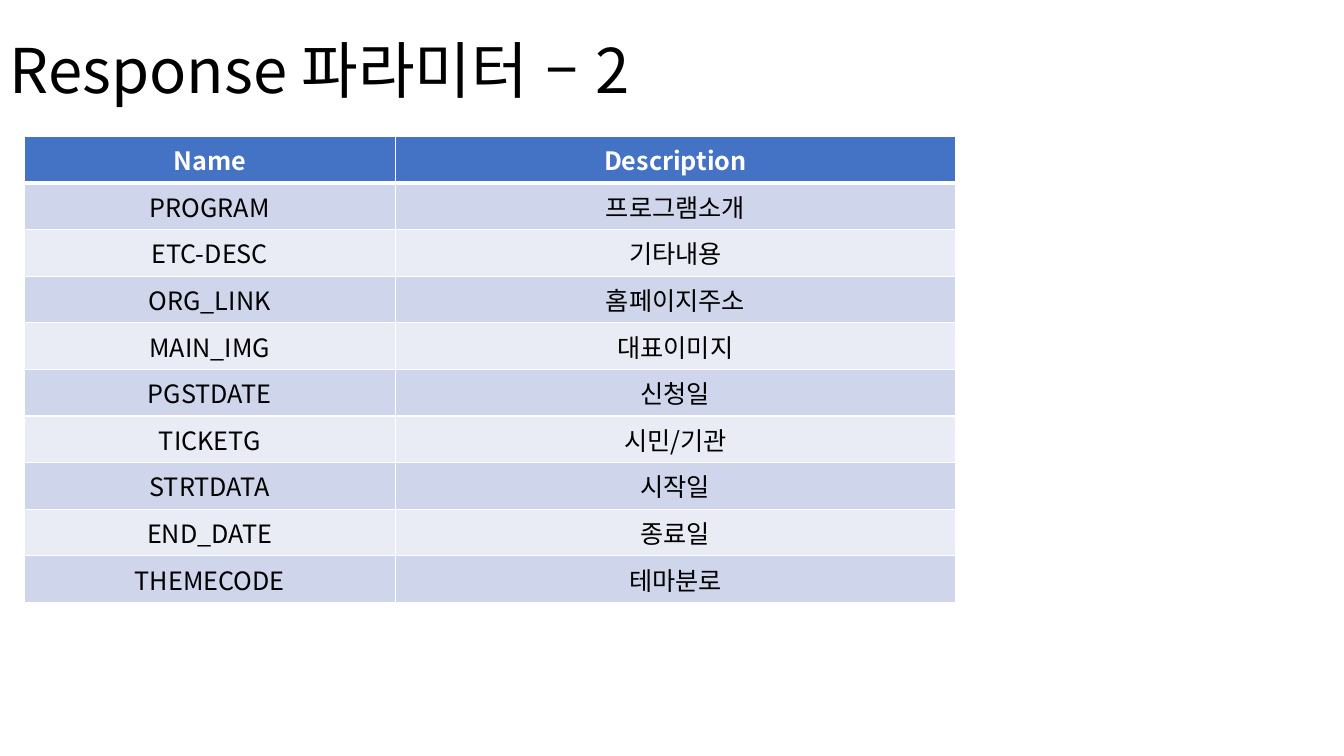
import lxml.etree
import pptx
import pptx.dml.color
import pptx.enum.lang
import pptx.enum.text
import pptx.oxml.ns
import pptx.util

FONT = "Noto Sans CJK KR"
HEADER_FILL = "4472C4"
BAND_FILLS = ("CFD5EA", "E9EBF5")
COLUMN_WIDTHS = (265, 400.3)
ROW_HEIGHT = 33.3
PARAMETERS = [
    ("Name", "Description"),
    ("PROGRAM", "프로그램소개"),
    ("ETC-DESC", "기타내용"),
    ("ORG_LINK", "홈페이지주소"),
    ("MAIN_IMG", "대표이미지"),
    ("PGSTDATE", "신청일"),
    ("TICKETG", "시민/기관"),
    ("STRTDATA", "시작일"),
    ("END_DATE", "종료일"),
    ("THEMECODE", "테마분로"),
]


def color(value):
    return pptx.dml.color.RGBColor.from_string(value)


def add_element(parent, tag, **attributes):
    return lxml.etree.SubElement(parent, pptx.oxml.ns.qn(tag), attributes)


def write_text(frame, text, size=18, fill="000000", bold=False, align="CENTER", spacing=1.0):
    paragraph = frame.paragraphs[0]
    paragraph.alignment = pptx.enum.text.PP_ALIGN[align]
    paragraph.line_spacing = spacing
    run = paragraph.add_run()
    run.text = text
    run.font.language_id = pptx.enum.lang.MSO_LANGUAGE_ID.KOREAN
    run.font.size = pptx.util.Pt(size)
    run.font.bold = bold
    run.font.color.rgb = color(fill)
    run.font.name = FONT
    add_element(run.font._element, "a:ea", typeface=FONT)


def add_title(slide, text):
    shape = slide.shapes.add_textbox(0, 0, pptx.util.Pt(828), pptx.util.Pt(104.4))
    frame = shape.text_frame
    frame.word_wrap = True
    frame.vertical_anchor = pptx.enum.text.MSO_ANCHOR.MIDDLE
    write_text(frame, text, size=44, align="LEFT", spacing=0.9)


def set_border(cell, side, width, value):
    properties = cell._tc.get_or_add_tcPr()
    line = add_element(properties, f"a:ln{side}", w=str(pptx.util.Pt(width)))
    add_element(add_element(line, "a:solidFill"), "a:srgbClr", val=value)


def fill_cell(cell, text, row_index):
    header = row_index == 0
    widths = {
        "L": 1,
        "R": 1,
        "T": 3 if row_index == 1 else 1,
        "B": 3 if header else 1,
    }
    for side, width in widths.items():
        set_border(cell, side, width, "FFFFFF")
    cell.fill.solid()
    cell.fill.fore_color.rgb = color(HEADER_FILL if header else BAND_FILLS[(row_index - 1) % 2])
    write_text(cell.text_frame, text, fill="FFFFFF" if header else "000000", bold=header)


def add_parameter_table(slide, rows):
    table = slide.shapes.add_table(
        len(rows),
        len(COLUMN_WIDTHS),
        pptx.util.Pt(17.3),
        pptx.util.Pt(97.5),
        pptx.util.Pt(sum(COLUMN_WIDTHS)),
        pptx.util.Pt(ROW_HEIGHT * len(rows)),
    ).table
    for column, width in zip(table.columns, COLUMN_WIDTHS):
        column.width = pptx.util.Pt(width)
    for row_index, texts in enumerate(rows):
        table.rows[row_index].height = pptx.util.Pt(ROW_HEIGHT)
        for column_index, text in enumerate(texts):
            fill_cell(table.cell(row_index, column_index), text, row_index)


def main():
    presentation = pptx.Presentation()
    presentation.slide_width = pptx.util.Pt(960)
    presentation.slide_height = pptx.util.Pt(540)
    slide = presentation.slides.add_slide(presentation.slide_layouts[6])
    add_title(slide, "Response 파라미터 – 2")
    add_parameter_table(slide, PARAMETERS)
    presentation.save("out.pptx")


if __name__ == "__main__":
    main()
